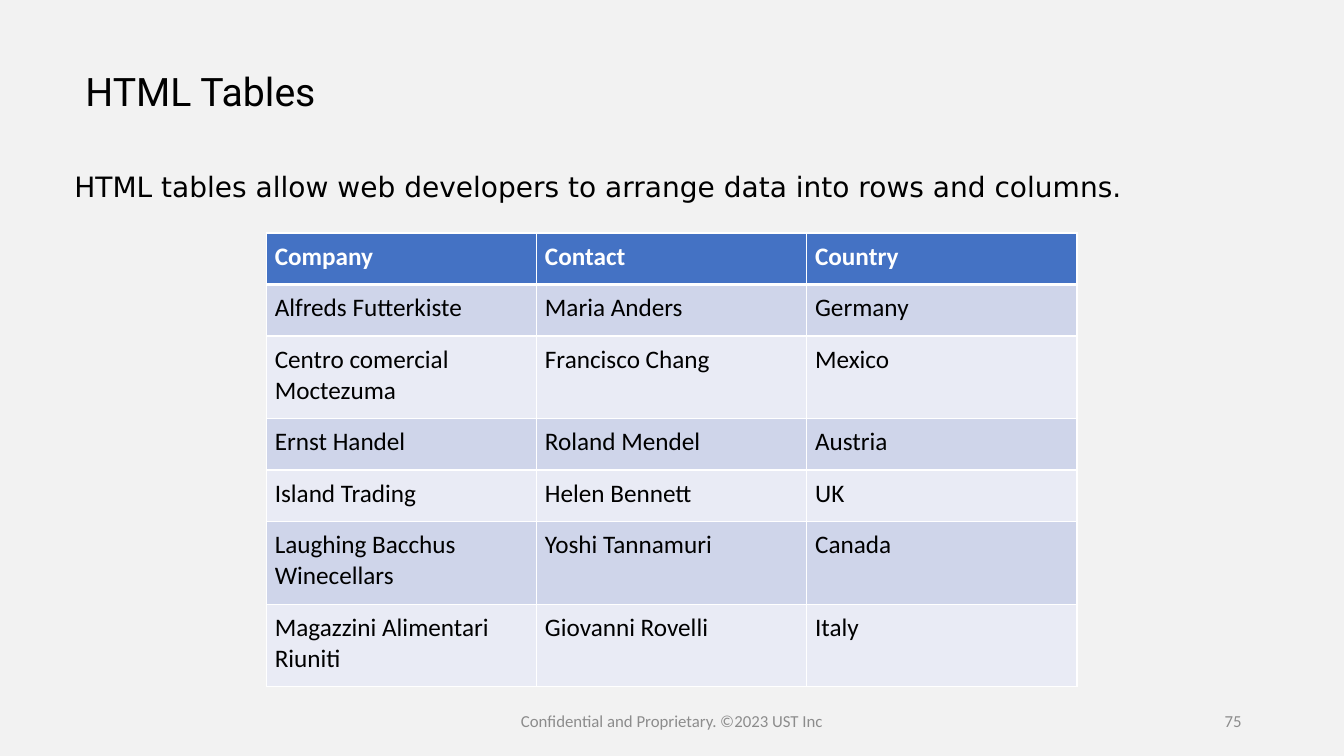
"""Builds the slide that introduces HTML tables."""
from lxml.etree import SubElement
from pptx import Presentation
from pptx.dml.color import RGBColor
from pptx.enum.text import MSO_ANCHOR, PP_ALIGN
from pptx.oxml.ns import qn
from pptx.util import Pt

BACKGROUND = RGBColor(0xF2, 0xF2, 0xF2)
BLACK = RGBColor(0x00, 0x00, 0x00)
WHITE = RGBColor(0xFF, 0xFF, 0xFF)
GRAY = RGBColor(0x8C, 0x8C, 0x8C)
HEADER_BLUE = RGBColor(0x44, 0x72, 0xC4)
BANDS = (RGBColor(0xE9, 0xEB, 0xF5), RGBColor(0xCF, 0xD5, 0xEA))

COMPANIES = [
    ("Company", "Contact", "Country"),
    ("Alfreds Futterkiste", "Maria Anders", "Germany"),
    ("Centro comercial Moctezuma", "Francisco Chang", "Mexico"),
    ("Ernst Handel", "Roland Mendel", "Austria"),
    ("Island Trading", "Helen Bennett", "UK"),
    ("Laughing Bacchus Winecellars", "Yoshi Tannamuri", "Canada"),
    ("Magazzini Alimentari Riuniti", "Giovanni Rovelli", "Italy"),
]
ONE_LINE, TWO_LINES = 36.8, 59
ROW_HEIGHTS = (ONE_LINE, ONE_LINE, TWO_LINES, ONE_LINE, ONE_LINE, TWO_LINES, TWO_LINES)


class SlideBuilder:
    def __init__(self, slide, font="Calibri"):
        self.slide = slide
        self.font = font
        slide.background.fill.solid()
        slide.background.fill.fore_color.rgb = BACKGROUND

    def style(self, paragraph, size, color, font=None, bold=False):
        for run in paragraph.runs:
            run.font.name = font or self.font
            run.font.size = Pt(size)
            run.font.bold = bold
            run.font.color.rgb = color

    def text(self, words, left, top, width, height, size, color, font=None,
             align=PP_ALIGN.LEFT, anchor=MSO_ANCHOR.TOP):
        frame = self.slide.shapes.add_textbox(
            Pt(left), Pt(top), Pt(width), Pt(height)).text_frame
        frame.word_wrap = True
        frame.vertical_anchor = anchor
        frame.text = words
        frame.paragraphs[0].alignment = align
        self.style(frame.paragraphs[0], size, color, font)

    def footer(self, words, left, width, align):
        self.text(words, left, 500.5, width, 28.8, 12, GRAY,
                  align=align, anchor=MSO_ANCHOR.MIDDLE)

    def borders(self, cell, top, bottom):
        properties = cell._tc.get_or_add_tcPr()
        for side, width in (("L", 1), ("R", 1), ("T", top), ("B", bottom)):
            line = SubElement(properties, qn(f"a:ln{side}"), w=str(Pt(width)))
            fill = SubElement(line, qn("a:solidFill"))
            SubElement(fill, qn("a:srgbClr"), val=str(WHITE))

    def table(self, records, left, top, width, heights):
        grid = self.slide.shapes.add_table(
            len(records), len(records[0]), Pt(left), Pt(top),
            Pt(width), Pt(sum(heights))).table
        grid.first_row = grid.horz_banding = False
        for index, (record, height) in enumerate(zip(records, heights)):
            grid.rows[index].height = Pt(height)
            header = index == 0
            for column, words in enumerate(record):
                cell = grid.cell(index, column)
                cell.margin_left = cell.margin_right = Pt(6)
                cell.margin_top = cell.margin_bottom = Pt(6)
                self.borders(cell, 3 if index == 1 else 1, 3 if header else 1)
                cell.fill.solid()
                cell.fill.fore_color.rgb = HEADER_BLUE if header else BANDS[index % 2]
                cell.text_frame.text = words
                self.style(cell.text_frame.paragraphs[0], 18,
                           WHITE if header else BLACK, bold=header)


def main():
    deck = Presentation()
    deck.slide_width, deck.slide_height = Pt(960), Pt(540)
    page = SlideBuilder(deck.slides.add_slide(deck.slide_layouts[6]))
    page.footer("Confidential and Proprietary. ©2023 UST Inc", 318, 324, PP_ALIGN.CENTER)
    page.footer("75", 678, 216, PP_ALIGN.RIGHT)
    page.text("HTML Tables", 54, 44.6, 528.5, 41, 28, BLACK, "Roboto")
    page.text("HTML tables allow web developers to arrange data into rows and columns.",
              46, 117.4, 885, 75, 20, BLACK, "DejaVu Sans")
    page.table(COMPANIES, 190.3, 166.4, 579, ROW_HEIGHTS)
    deck.save("out.pptx")


if __name__ == "__main__":
    main()
